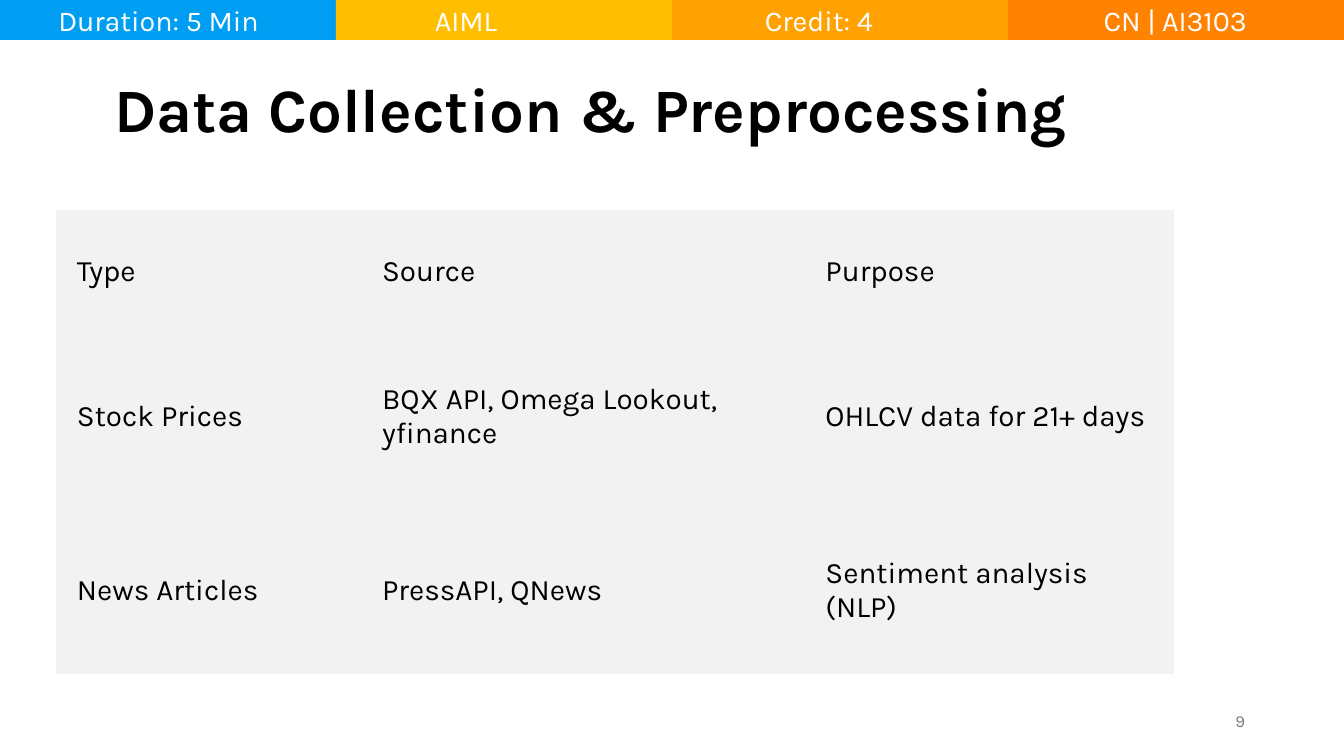
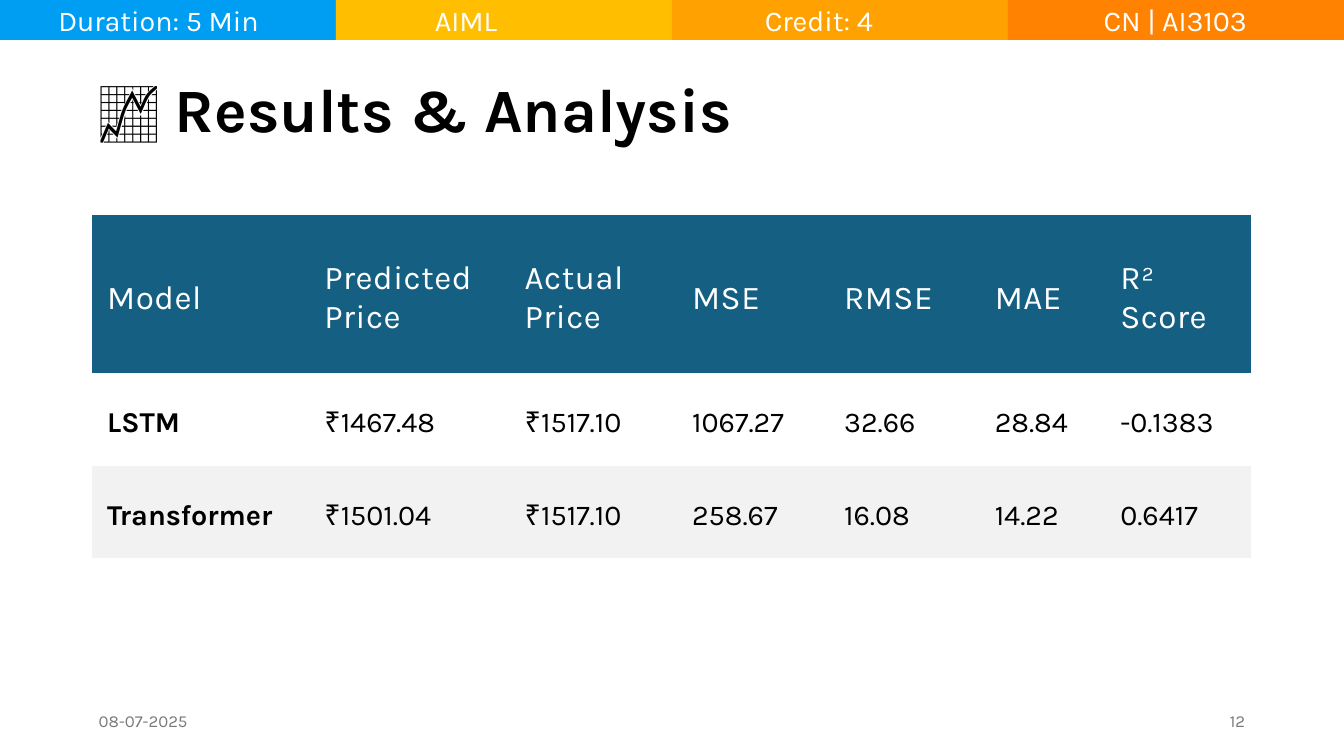
from pptx import Presentation
from pptx.dml.color import RGBColor
from pptx.enum.shapes import MSO_SHAPE
from pptx.enum.text import MSO_ANCHOR, MSO_AUTO_SIZE, PP_ALIGN
from pptx.util import Cm, Pt

RECTANGLE = MSO_SHAPE.RECTANGLE
TOP, MIDDLE = MSO_ANCHOR.TOP, MSO_ANCHOR.MIDDLE
LEFT, RIGHT = PP_ALIGN.LEFT, PP_ALIGN.RIGHT
NO_AUTOFIT = MSO_AUTO_SIZE.NONE

FONT = "Karla"
PLAIN_TABLE = "{2D5ABB26-0587-4C30-8999-92F81FD0307C}"
TITLE_ONLY = 5
WIDTH, HEIGHT = 52.8, 29.7
BAND_HEIGHT = 1.57
MARGIN = 3.63
COLORS = {
    "blue": "009EF3", "yellow": "FFBF00", "amber": "FFA100", "orange": "FF8200",
    "white": "FFFFFF", "black": "000000", "gray": "797979",
    "pale": "F2F2F2", "teal": "156082",
}
# Band colour, label, then left, width and left inset of the label box
BANDS = [
    ("blue", "Duration: 5 Min", 2.26, 10.64, 0.03),
    ("yellow", "AIML", 15.72, 15.54, 1.37),
    ("amber", "Credit: 4", 28.93, 15.54, 1.12),
    ("orange", "CN | AI3103", 43.33, 7.75, 0.03),
]


class SlideBuilder:
    """Holds the shared style and the slide being built."""

    def __init__(self, deck):
        self.deck = deck
        self.page = None

    def color(self, name):
        return RGBColor.from_string(COLORS[name])

    def style(self, span, size, color, bold=False, spacing=0):
        font = span.font
        font.name, font.size, font.bold = FONT, Pt(size), bold
        font.color.rgb = self.color(color)
        if spacing:
            span._r.get_or_add_rPr().set("spc", str(round(spacing * 100)))

    def start(self):
        layout = self.deck.slide_layouts[TITLE_ONLY]
        self.page = self.deck.slides.add_slide(layout)
        self.header()

    def header(self):
        band_width = WIDTH / len(BANDS)
        for index, (fill, label, left, width, inset) in enumerate(BANDS):
            band = self.page.shapes.add_shape(
                RECTANGLE, Cm(index * band_width), 0, Cm(band_width), Cm(BAND_HEIGHT))
            band.shadow.inherit = False
            band.fill.solid()
            band.fill.fore_color.rgb = self.color(fill)
            band.line.fill.background()
            frame = self.text(label, left, 0.09, width, 1.4, 32, "white",
                              anchor=TOP, spacing=-0.1)
            frame.margin_left = Cm(inset)
            frame.margin_top = frame.margin_right = frame.margin_bottom = 0

    def text(self, words, left, top, width, height, size, color,
             anchor=MIDDLE, align=LEFT, spacing=0):
        box = self.page.shapes.add_textbox(Cm(left), Cm(top), Cm(width), Cm(height))
        frame = box.text_frame
        frame.word_wrap = True
        frame.vertical_anchor = anchor
        frame.text = words
        para = frame.paragraphs[0]
        para.alignment = align
        self.style(para.runs[0], size, color, spacing=spacing)
        return frame

    def title(self, words, icon="", inset=0.25):
        box = self.page.shapes.title
        box.left, box.top = Cm(MARGIN), Cm(BAND_HEIGHT)
        box.width, box.height = Cm(WIDTH - 2 * MARGIN), Cm(5.74)
        frame = box.text_frame
        frame.auto_size = NO_AUTOFIT
        frame.vertical_anchor = MIDDLE
        frame.margin_left = Cm(inset)
        para = frame.paragraphs[0]
        para.alignment, para.line_spacing = LEFT, 0.9
        for part, bold in ((icon, False), (words, True)):
            if part:
                span = para.add_run()
                span.text = part
                self.style(span, 68.6, "black", bold)

    def footer(self, number, date=""):
        width = 11.89
        for words, left, align in ((date, MARGIN, LEFT),
                                   (number, WIDTH - MARGIN - width, RIGHT)):
            if words:
                frame = self.text(words, left, 27.53, width, BAND_HEIGHT,
                                  18.7, "gray", align=align)
                frame.paragraphs[0].space_after = Pt(6)

    def table(self, rows, left, top, widths, heights, insets, looks):
        """Each look is (fill, size, colour, spacing, bold first cell) of a row."""
        shape = self.page.shapes.add_table(
            len(rows), len(widths), Cm(left), Cm(top), Cm(sum(widths)), Cm(sum(heights)))
        table = shape.table
        table.first_row = table.horz_banding = False
        table._tbl.tblPr[0].text = PLAIN_TABLE
        for column, width in zip(table.columns, widths):
            column.width = Cm(width)
        for row, height, words, look in zip(table.rows, heights, rows, looks):
            row.height = Cm(height)
            for index, (cell, value) in enumerate(zip(row.cells, words)):
                self.cell(cell, value, insets, look, index == 0)

    def cell(self, cell, value, insets, look, is_first):
        fill, size, color, spacing, bold_first = look
        cell.vertical_anchor = MIDDLE
        side, top, bottom = insets
        cell.margin_left = cell.margin_right = Cm(side)
        cell.margin_top, cell.margin_bottom = Cm(top), Cm(bottom)
        if fill:
            cell.fill.solid()
            cell.fill.fore_color.rgb = self.color(fill)
        else:
            cell.fill.background()
        cell.text = value
        span = cell.text_frame.paragraphs[0].runs[0]
        self.style(span, size, color, bold_first and is_first, spacing)


def data_collection(builder):
    builder.start()
    builder.title("Data Collection & Preprocessing", inset=0.85)
    builder.footer("9")
    rows = [
        ("Type", "Source", "Purpose"),
        ("Stock Prices", "BQX API, Omega Lookout, yfinance", "OHLCV data for 21+ days"),
        ("News Articles", "PressAPI, QNews", "Sentiment analysis (NLP)"),
    ]
    builder.table(rows, 2.21, 8.26, (11.99, 17.42, 14.5), (4.55, 6.83, 6.83),
                  (0.81, 0.71, 0.41), [("pale", 33, "black", 0, False)] * len(rows))


def results(builder):
    builder.start()
    builder.title("Results & Analysis", icon="📈 ")
    builder.footer("12", "08-07-2025")
    rows = [
        ("Model", "Predicted Price", "Actual Price", "MSE", "RMSE", "MAE", "R² Score"),
        ("LSTM", "₹1467.48", "₹1517.10", "1067.27", "32.66", "28.84", "-0.1383"),
        ("Transformer", "₹1501.04", "₹1517.10", "258.67", "16.08", "14.22", "0.6417"),
    ]
    looks = [
        ("teal", 37, "white", 0.6, False),
        (None, 32, "black", 0, True),
        ("pale", 32, "black", 0, True),
    ]
    builder.table(rows, MARGIN, 8.46, (8.53, 7.87, 6.58, 5.97, 5.92, 4.93, 5.72),
                  (6.2, 3.63, 3.63), (0.58, 0.58, 0.28), looks)


def main():
    deck = Presentation()
    deck.slide_width, deck.slide_height = Cm(WIDTH), Cm(HEIGHT)
    builder = SlideBuilder(deck)
    data_collection(builder)
    results(builder)
    deck.save("out.pptx")


if __name__ == "__main__":
    main()
